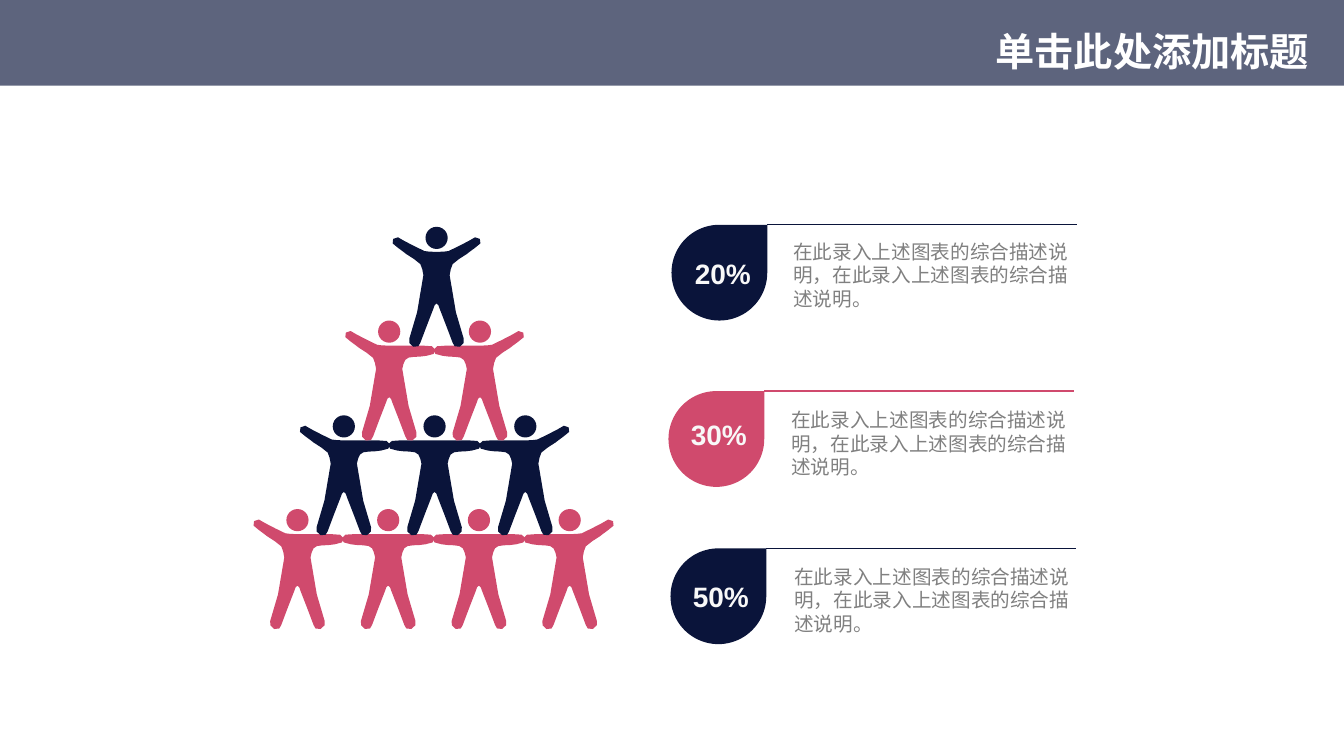
from dataclasses import dataclass
from pptx import Presentation
from pptx.dml.color import RGBColor
from pptx.enum.shapes import MSO_CONNECTOR, MSO_SHAPE
from pptx.enum.text import MSO_ANCHOR, PP_ALIGN
from pptx.oxml.ns import qn
from pptx.shapes.base import BaseShape
from pptx.slide import Slide
from pptx.util import Emu, Pt

EMU_PER_PX = 9144  # 100 px to the inch
SLIDE_W, SLIDE_H = 1333, 750

NAVY = RGBColor(0x0A, 0x14, 0x3A)
PINK = RGBColor(0xD0, 0x4A, 0x6D)
SLATE = RGBColor(0x5D, 0x64, 0x7D)
WHITE = RGBColor(0xFF, 0xFF, 0xFF)
OFF_WHITE = RGBColor(0xF8, 0xF8, 0xF8)
GREY = RGBColor(0x80, 0x80, 0x80)
CJK_FONT = "Noto Sans CJK SC"

TITLE_FORMAT = {"size": Pt(28), "bold": True, "name": "Montserrat"}
PERCENT_FORMAT = {"size": Pt(20), "bold": True, "name": "Arial"}
DESCRIPTION_FORMAT = {"size": Pt(14), "bold": False, "name": CJK_FONT}
DESCRIPTION = "在此录入上述图表的综合描述说明，在此录入上述图表的综合描述说明。"

Point = tuple[float, float]
Curve = tuple[Point, Point, Point]

# Right half of a person, measured from the top centre of the head.
NECK: Point = (0, 25)
LEVEL_ARM: list[Curve] = [
    ((7, 25), (31, 25), (35, 25)),
    ((40, 25), (46, 25), (46, 29)),
    ((47, 33), (43, 34), (37, 35)),
    ((30, 36), (29, 36), (25, 36)),
    ((21, 36), (17, 37), (16, 39)),
    ((14, 42), (14, 44), (13, 48)),
]
RAISED_ARM: list[Curve] = [
    ((7, 25), (12, 24), (12, 24)),
    ((16, 23), (27, 16), (32, 14)),
    ((36, 11), (41, 8), (43, 12)),
    ((46, 15), (43, 18), (38, 21)),
    ((32, 25), (33, 25), (30, 27)),
    ((26, 29), (18, 35), (16, 37)),
    ((14, 40), (14, 44), (13, 48)),
]
LEG: list[Curve] = [
    ((12, 65), (26, 108), (27, 111)),
    ((28, 114), (27, 117), (23, 119)),
    ((19, 120), (16, 118), (16, 115)),
    ((14, 110), (6, 88), (3, 81)),
    ((2, 79), (2, 76), (0, 76)),
]
CURVE_STEPS = 2
HEAD_SIZE = 22
PERSON_PITCH = 90


@dataclass(frozen=True)
class PyramidRow:
    people: int
    center: int
    head_top: int
    color: RGBColor


@dataclass(frozen=True)
class Callout:
    percent: str
    color: RGBColor
    drop: tuple[int, int]
    label: tuple[int, int]
    description: tuple[int, int]


PYRAMID = [
    PyramidRow(4, 430, 505, PINK),
    PyramidRow(3, 431, 412, NAVY),
    PyramidRow(2, 431, 318, PINK),
    PyramidRow(1, 433, 225, NAVY),
]
CALLOUTS = [
    Callout("20%", NAVY, (666, 223), (670, 250), (777, 233)),
    Callout("30%", PINK, (663, 388), (666, 409), (775, 400)),
    Callout("50%", NAVY, (665, 544), (668, 570), (778, 555)),
]
DROP_SIZE = 95
RULE_LENGTH = 307


def px(value: float) -> Emu:
    return Emu(round(value * EMU_PER_PX))


def paint(shape: BaseShape, color: RGBColor) -> None:
    shape.shadow.inherit = False
    shape.fill.solid()
    shape.fill.fore_color.rgb = color
    shape.line.fill.background()


def add_preset(shapes, kind: MSO_SHAPE, left: int, top: int,
               width: int, height: int, color: RGBColor) -> None:
    paint(shapes.add_shape(kind, px(left), px(top), px(width), px(height)), color)


def add_text(shapes, text: str, left: int, top: int, width: int, height: int,
             color: RGBColor, font_format: dict, align: PP_ALIGN,
             anchor: MSO_ANCHOR = MSO_ANCHOR.TOP, spacing: float = 1.0) -> None:
    frame = shapes.add_textbox(px(left), px(top), px(width), px(height)).text_frame
    frame.word_wrap = True
    frame.vertical_anchor = anchor
    paragraph = frame.paragraphs[0]
    paragraph.alignment = align
    paragraph.line_spacing = spacing
    run = paragraph.add_run()
    run.text = text
    for attribute, value in font_format.items():
        setattr(run.font, attribute, value)
    run.font.color.rgb = color
    east_asian = run.font._element.makeelement(qn("a:ea"), {"typeface": CJK_FONT})
    run.font._element.append(east_asian)


def half_outline(arm: list[Curve]) -> list[Point]:
    """Sample the Bezier curves from the neck, round the arm and leg, to the crotch."""
    points = [NECK]
    for first, second, end in arm + LEG:
        start = points[-1]
        for step in range(1, CURVE_STEPS + 1):
            t = step / CURVE_STEPS
            weights = ((1 - t) ** 3, 3 * t * (1 - t) ** 2, 3 * t ** 2 * (1 - t), t ** 3)
            corners = (start, first, second, end)
            points.append((sum(w * x for w, (x, _) in zip(weights, corners)),
                           sum(w * y for w, (_, y) in zip(weights, corners))))
    return points


def add_person(slide: Slide, center: int, head_top: int, color: RGBColor,
               left_arm: list[Curve], right_arm: list[Curve]) -> None:
    person = slide.shapes.add_group_shape().shapes
    left_half = [(-x, y) for x, y in half_outline(left_arm)[-2:0:-1]]
    outline = [(px(center + x), px(head_top + y))
               for x, y in half_outline(right_arm) + left_half]
    builder = person.build_freeform(*outline[0], scale=1.0)
    builder.add_line_segments(outline[1:], close=True)
    paint(builder.convert_to_shape(), color)
    add_preset(person, MSO_SHAPE.OVAL, center - HEAD_SIZE // 2, head_top,
               HEAD_SIZE, HEAD_SIZE, color)


def add_pyramid_row(slide: Slide, row: PyramidRow) -> None:
    """Centre the row; only its two outer arms are raised."""
    last = row.people - 1
    for index in range(row.people):
        center = row.center + (2 * index - last) * PERSON_PITCH // 2
        add_person(slide, center, row.head_top, row.color,
                   RAISED_ARM if index == 0 else LEVEL_ARM,
                   RAISED_ARM if index == last else LEVEL_ARM)


def add_callout(slide: Slide, callout: Callout) -> None:
    marker = slide.shapes.add_group_shape().shapes
    left, top = callout.drop
    right = left + DROP_SIZE
    rule = marker.add_connector(MSO_CONNECTOR.STRAIGHT, px(right), px(top),
                                px(right + RULE_LENGTH), px(top))
    rule.line.color.rgb = callout.color
    rule.line.width = Pt(1)
    properties = rule._element.spPr
    properties.append(properties.makeelement(qn("a:effectLst"), {}))
    add_preset(marker, MSO_SHAPE.TEAR, left, top, DROP_SIZE, DROP_SIZE, callout.color)
    add_text(marker, callout.percent, *callout.label, 94, 44,
             OFF_WHITE, PERCENT_FORMAT, PP_ALIGN.CENTER)
    add_text(slide.shapes, DESCRIPTION, *callout.description, 300, 81,
             GREY, DESCRIPTION_FORMAT, PP_ALIGN.LEFT)


def main() -> None:
    deck = Presentation()
    deck.slide_width, deck.slide_height = px(SLIDE_W), px(SLIDE_H)
    slide = deck.slides.add_slide(deck.slide_layouts[6])
    add_preset(slide.shapes, MSO_SHAPE.RECTANGLE, 0, 0, SLIDE_W, 85, SLATE)
    for row in PYRAMID:
        add_pyramid_row(slide, row)
    for callout in CALLOUTS:
        add_callout(slide, callout)
    add_text(slide.shapes, "单击此处添加标题", 158, 22, 1150, 63, WHITE, TITLE_FORMAT,
             PP_ALIGN.RIGHT, MSO_ANCHOR.MIDDLE, 0.9)
    deck.save("out.pptx")


if __name__ == "__main__":
    main()
